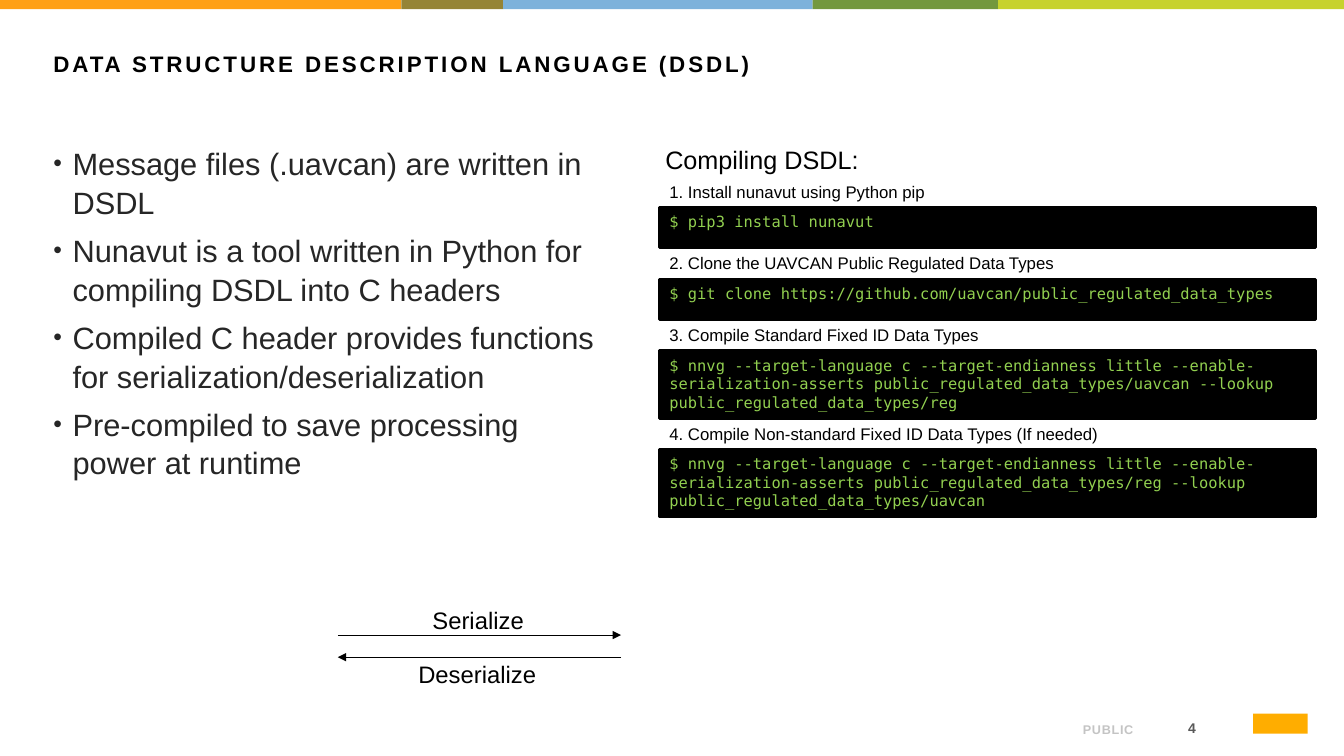
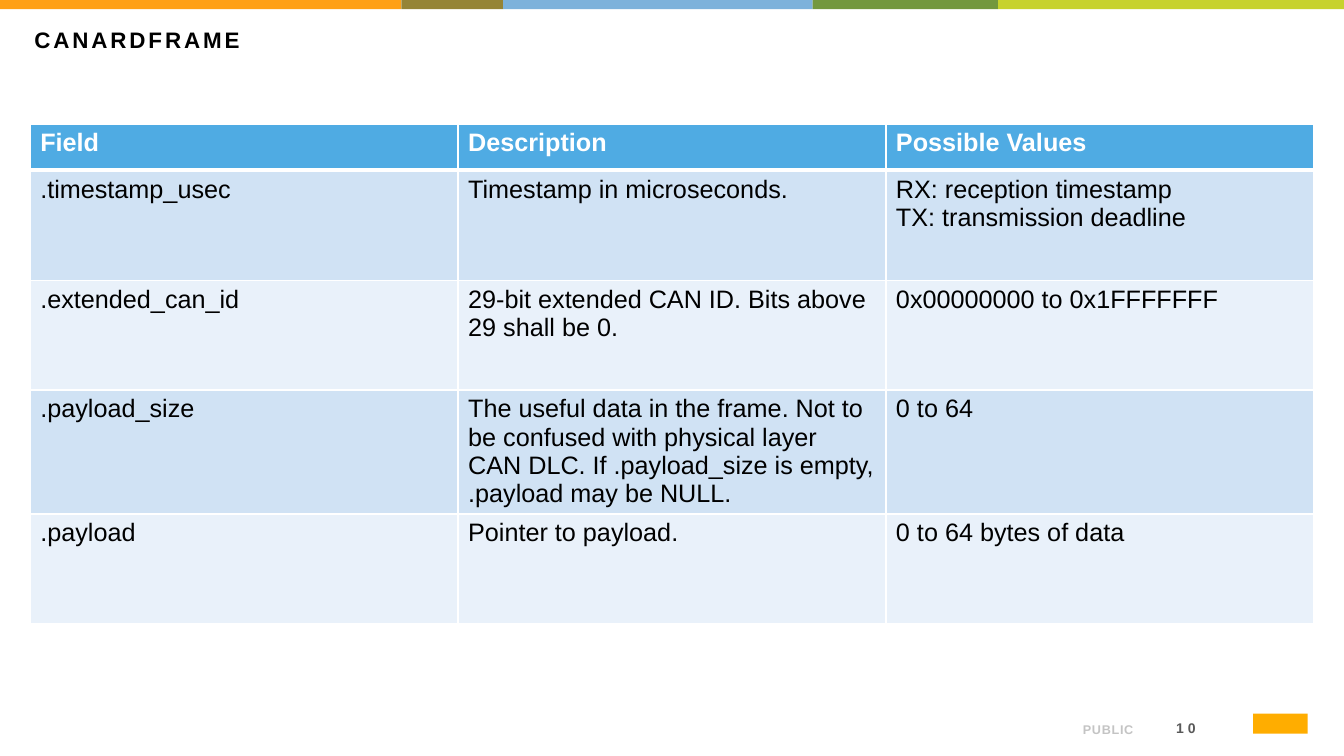
from dataclasses import dataclass
from itertools import accumulate
from typing import NamedTuple

from lxml import etree
from pptx import Presentation
from pptx import util as u
from pptx.dml.color import RGBColor
from pptx.enum import shapes, text
from pptx.oxml.ns import qn


@dataclass(frozen=True)
class Theme:
    sans: str = "Arial"
    mono: str = "DejaVu Sans Mono"
    ink: str = "000000"
    body_ink: str = "262626"
    number_ink: str = "595959"
    footer_ink: str = "C4C4C4"
    paper: str = "FFFFFF"
    terminal: str = "000000"
    terminal_ink: str = "92D050"
    header_row: str = "4FABE3"
    row_bands: tuple = ("D0E2F4", "E9F1FA")
    stripes: tuple = (("FFA015", 3.98), ("958436", 1.01), ("7DB2DB", 3.07),
                      ("73983E", 1.84), ("C7D22D", 3.43))
    logo: str = "FFAD00"
    title_size: float = 16
    list_size: float = 22
    heading_size: float = 18
    arrow_size: float = 17
    step_size: float = 12
    code_size: float = 11
    number_size: float = 10
    footer_size: float = 9


THEME = Theme()
ALIGN = text.PP_ALIGN
ANCHOR = text.MSO_ANCHOR


class Box(NamedTuple):
    left: float
    top: float
    width: float
    height: float

    def inches(self):
        return [u.Inches(length) for length in self]


STEPS = [
    ("1. Install nunavut using Python pip", "$ pip3 install nunavut", 0.4),
    ("2. Clone the UAVCAN Public Regulated Data Types",
     "$ git clone https://github.com/uavcan/public_regulated_data_types", 0.4),
    ("3. Compile Standard Fixed ID Data Types",
     "$ nnvg --target-language c --target-endianness little "
     "--enable-serialization-asserts public_regulated_data_types/uavcan "
     "--lookup public_regulated_data_types/reg", 0.67),
    ("4. Compile Non-standard Fixed ID Data Types (If needed)",
     "$ nnvg --target-language c --target-endianness little "
     "--enable-serialization-asserts public_regulated_data_types/reg "
     "--lookup public_regulated_data_types/uavcan", 0.67),
]

DSDL_POINTS = [
    "Message files (.uavcan) are written in DSDL",
    "Nunavut is a tool written in Python for compiling DSDL into C headers",
    "Compiled C header provides functions for serialization/deserialization",
    "Pre-compiled to save processing power at runtime",
]

FRAME_FIELDS = [
    ("Field", "Description", "Possible Values"),
    (".timestamp_usec", "Timestamp in microseconds.",
     "RX: reception timestamp\nTX: transmission deadline"),
    (".extended_can_id", "29-bit extended CAN ID. Bits above 29 shall be 0.",
     "0x00000000 to 0x1FFFFFFF"),
    (".payload_size",
     "The useful data in the frame. Not to be confused with physical layer CAN DLC. "
     "If .payload_size is empty, .payload may be NULL.", "0 to 64"),
    (".payload", "Pointer to payload.", "0 to 64 bytes of data"),
]


def rgb(value):
    return RGBColor.from_string(value)


def add_bullet(paragraph):
    properties = paragraph._p.get_or_add_pPr()
    properties.set("marL", str(u.Inches(0.19)))
    properties.set("indent", str(-u.Inches(0.19)))
    etree.SubElement(properties, qn("a:buSzPct"), val="80000")
    etree.SubElement(properties, qn("a:buFont"), typeface=THEME.sans)
    etree.SubElement(properties, qn("a:buChar"), char="•")


def write(frame, content, *, size, color=THEME.ink, font=THEME.sans, bold=False,
          tracking=0, align=ALIGN.LEFT, anchor=ANCHOR.TOP, wrap=True, bullets=False,
          line_spacing=1.0, before=0, after=0):
    """Fill a text frame, one paragraph for each line of content."""
    frame.word_wrap = wrap
    frame.auto_size = text.MSO_AUTO_SIZE.NONE
    frame.vertical_anchor = anchor
    for index, line in enumerate(content.split("\n")):
        paragraph = frame.add_paragraph() if index else frame.paragraphs[0]
        if bullets:
            add_bullet(paragraph)
        paragraph.alignment = align
        paragraph.line_spacing = line_spacing
        paragraph.space_before = u.Pt(before if index else 0)
        paragraph.space_after = u.Pt(after)
        run = paragraph.add_run()
        run.text = line
        run.font.name, run.font.size, run.font.bold = font, u.Pt(size), bold
        run.font.color.rgb = rgb(color)
        if tracking:
            run.font._element.set("spc", str(round(tracking * 100)))


def add_label(slide, box, content, **style):
    label = slide.shapes.add_textbox(*box.inches())
    write(label.text_frame, content, **style)
    return label


def add_block(slide, box, fill, line_width=0):
    block = slide.shapes.add_shape(shapes.MSO_SHAPE.RECTANGLE, *box.inches())
    block.shadow.inherit = False
    block.fill.solid()
    block.fill.fore_color.rgb = rgb(fill)
    if line_width:
        block.line.color.rgb = rgb(fill)
        block.line.width = u.Pt(line_width)
    else:
        block.line.fill.background()
    return block


def add_arrow(slide, start, end):
    arrow = slide.shapes.add_connector(
        shapes.MSO_CONNECTOR.STRAIGHT, *[u.Inches(length) for length in (*start, *end)])
    arrow.line.color.rgb = rgb(THEME.ink)
    arrow.line.width = u.Pt(0.75)
    etree.SubElement(arrow.line._get_or_add_ln(), qn("a:tailEnd"), type="triangle")
    etree.SubElement(arrow._element.spPr, qn("a:effectLst"))


def place(placeholder, box):
    (placeholder.left, placeholder.top,
     placeholder.width, placeholder.height) = box.inches()
    return placeholder.text_frame


def add_stripes(slide, height=0.09):
    widths = [width for _, width in THEME.stripes]
    lefts = accumulate(widths, initial=0)
    for left, (color, width) in zip(lefts, THEME.stripes):
        add_block(slide, Box(left, 0, width, height), color)


def add_footer(slide, number):
    add_label(slide, Box(8.51, 7.02, 2.83, 0.34), "PUBLIC", size=THEME.footer_size,
              color=THEME.footer_ink, bold=True, tracking=0.5,
              align=ALIGN.RIGHT, anchor=ANCHOR.BOTTOM)
    page = add_label(slide, Box(11.28, 7.07, 0.65, 0.3), str(number),
                     size=THEME.number_size, color=THEME.number_ink, bold=True,
                     tracking=3, align=ALIGN.RIGHT, anchor=ANCHOR.MIDDLE).text_frame
    page.margin_left = page.margin_right = u.Inches(0.07)
    page.margin_top = page.margin_bottom = u.Inches(0.04)
    add_block(slide, Box(12.43, 7.08, 0.54, 0.2), THEME.logo)


def new_slide(deck, layout, title, title_box, number):
    """Add a slide with the shared stripes, title style and footer."""
    slide = deck.slides.add_slide(deck.slide_layouts.get_by_name(layout))
    add_stripes(slide)
    add_footer(slide, number)
    write(place(slide.shapes.title, title_box), title,
          size=THEME.title_size, bold=True, tracking=2.1)
    return slide


def add_steps(slide, box, heading):
    """Stack captions and terminal boxes below a heading."""
    caption_height = 0.31
    add_label(slide, Box(box.left - 0.04, box.top, box.width, 0.4), heading,
              size=THEME.heading_size)
    top = box.top + 0.37
    for caption, command, height in STEPS:
        add_label(slide, Box(box.left, top, box.width, caption_height), caption,
                  size=THEME.step_size)
        top += caption_height
        terminal = add_block(slide, Box(box.left, top, box.width, height),
                             THEME.terminal, line_width=2)
        write(terminal.text_frame, command, size=THEME.code_size,
              color=THEME.terminal_ink, font=THEME.mono)
        top += height


def add_exchange(slide, box):
    """Draw the two opposite arrows with their labels."""
    right, forward, back = box.left + box.width, box.top + 0.34, box.top + 0.56
    add_arrow(slide, (box.left, forward), (right, forward))
    add_arrow(slide, (right, back), (box.left, back))
    for caption, left, top in (("Serialize", 0.84, 0), ("Deserialize", 0.7, 0.54)):
        add_label(slide, Box(box.left + left, box.top + top, 1.42, 0.33), caption,
                  size=THEME.arrow_size, wrap=False)


def set_borders(cell, top=1, bottom=1):
    properties = cell._tc.get_or_add_tcPr()
    widths = {"lnL": 1, "lnR": 1, "lnT": top, "lnB": bottom}
    for position, (side, width) in enumerate(widths.items()):
        border = etree.Element(qn(f"a:{side}"), w=str(u.Pt(width)))
        fill = etree.SubElement(border, qn("a:solidFill"))
        etree.SubElement(fill, qn("a:srgbClr"), val=THEME.paper)
        properties.insert(position, border)


def add_field_table(slide, box, row_heights):
    columns = len(FRAME_FIELDS[0])
    table = slide.shapes.add_table(len(FRAME_FIELDS), columns, *box.inches()).table
    table.horz_banding = False
    for column in table.columns:
        column.width = u.Inches(box.width / columns)
    for row, (height, values) in enumerate(zip(row_heights, FRAME_FIELDS)):
        table.rows[row].height = u.Inches(height)
        header = row == 0
        for column, value in enumerate(values):
            cell = table.cell(row, column)
            cell.fill.solid()
            cell.fill.fore_color.rgb = rgb(
                THEME.header_row if header else THEME.row_bands[(row - 1) % 2])
            set_borders(cell, top=3 if row == 1 else 1, bottom=3 if header else 1)
            write(cell.text_frame, value, size=THEME.heading_size, bold=header,
                  color=THEME.paper if header else THEME.ink)


def build_dsdl_slide(deck):
    slide = new_slide(deck, "Title and Content",
                      "DATA STRUCTURE DESCRIPTION LANGUAGE (DSDL)",
                      Box(0.43, 0.45, 12.52, 0.72), 4)
    write(place(slide.placeholders[1], Box(0.43, 1.37, 5.65, 4.76)),
          "\n".join(DSDL_POINTS), size=THEME.list_size, color=THEME.body_ink,
          bullets=True, line_spacing=1.05, before=5.8, after=0.8)
    add_steps(slide, Box(6.54, 1.38, 6.51, 3.76), "Compiling DSDL:")
    add_exchange(slide, Box(3.35, 5.96, 2.81, 0.87))


def build_frame_slide(deck):
    slide = new_slide(deck, "Title Only", "CANARDFRAME",
                      Box(0.24, 0.21, 11.71, 0.72), 10)
    add_field_table(slide, Box(0.3, 1.23, 12.73, 4.96), (0.46, 1.09, 1.09, 1.23, 1.09))


def main():
    deck = Presentation()
    deck.slide_width, deck.slide_height = u.Inches(13.33), u.Inches(7.5)
    build_dsdl_slide(deck)
    build_frame_slide(deck)
    deck.save("out.pptx")


if __name__ == "__main__":
    main()
